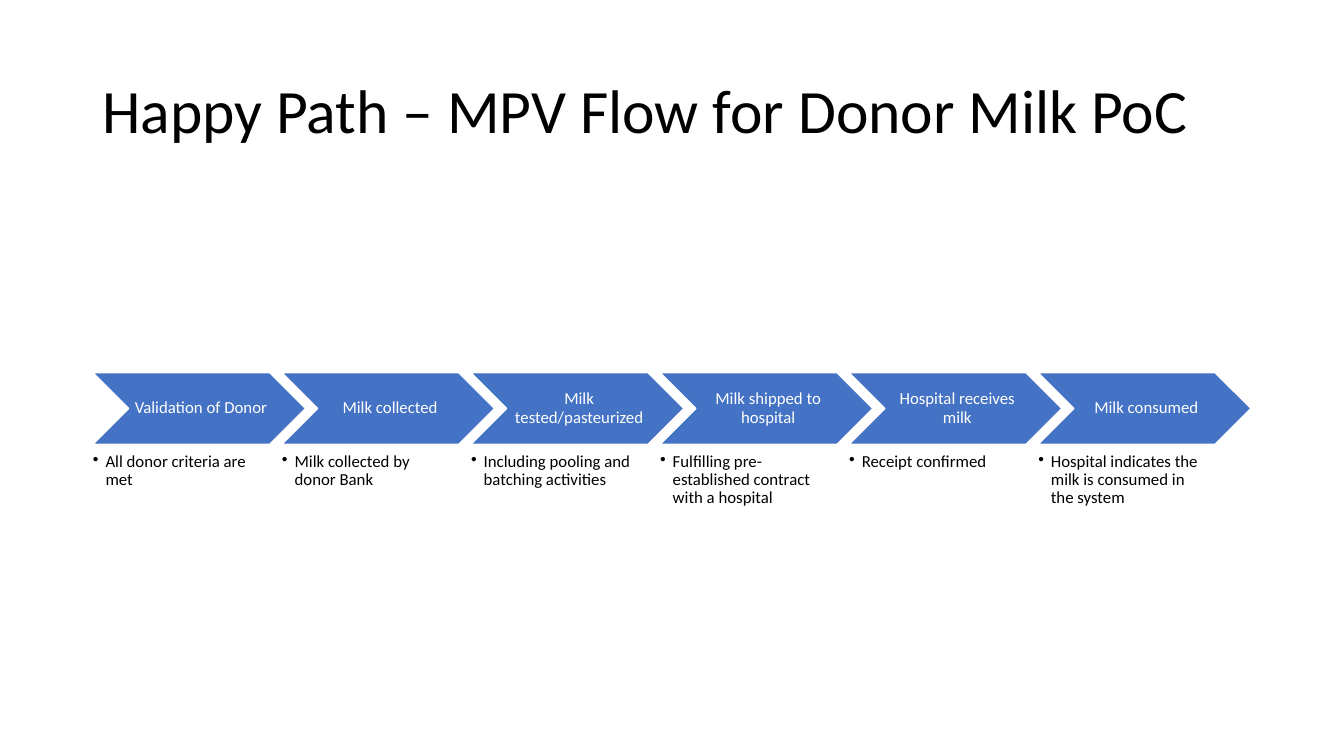
from lxml import etree
from pptx import Presentation
from pptx.dml.color import RGBColor
from pptx.enum.shapes import MSO_SHAPE
from pptx.enum.text import MSO_ANCHOR, PP_ALIGN
from pptx.oxml.ns import qn
from pptx.util import Pt

CHEVRON = MSO_SHAPE.CHEVRON
MIDDLE, TOP = MSO_ANCHOR.MIDDLE, MSO_ANCHOR.TOP
LEFT, CENTER = PP_ALIGN.LEFT, PP_ALIGN.CENTER

FONT = "Calibri"
COLORS = {"step": "4472C4", "light": "FFFFFF", "dark": "000000"}

TITLE = "Happy Path – MPV Flow for Donor Milk PoC"
STEPS = [
    ("Validation of Donor", "All donor criteria are met"),
    ("Milk collected", "Milk collected by donor Bank"),
    ("Milk tested/pasteurized", "Including pooling and batching activities"),
    ("Milk shipped to hospital", "Fulfilling pre-established contract with a hospital"),
    ("Hospital receives milk", "Receipt confirmed"),
    ("Milk consumed", "Hospital indicates the milk is consumed in the system"),
]


def color(name):
    return RGBColor.from_string(COLORS[name])


def write(shape, text, size, color_name, align, anchor, insets):
    """Fill a shape with one styled paragraph and return that paragraph."""
    frame = shape.text_frame
    frame.text = text
    frame.word_wrap = True
    frame.vertical_anchor = anchor
    (frame.margin_left, frame.margin_top,
     frame.margin_right, frame.margin_bottom) = map(Pt, insets)
    para = frame.paragraphs[0]
    para.alignment = align
    para.line_spacing = 0.9
    font = para.runs[0].font
    font.name, font.size = FONT, Pt(size)
    font.color.rgb = color(color_name)
    return para


def add_bullet(para, indent):
    properties = para._p.get_or_add_pPr()
    properties.set("marL", str(Pt(indent)))
    properties.set("indent", str(Pt(-indent)))
    etree.SubElement(properties, qn("a:buChar")).set("char", "•")


def add_title(page, box):
    title = page.shapes.add_textbox(*map(Pt, box))
    write(title, TITLE, 44, "dark", LEFT, MIDDLE, (7.2, 3.6, 7.2, 3.6))


def add_step(page, box, label, detail):
    left, top, width, height = box

    # Chevron with the step name
    chevron = page.shapes.add_shape(CHEVRON, Pt(left), Pt(top), Pt(width), Pt(51))
    chevron.shadow.inherit = False
    chevron.fill.solid()
    chevron.fill.fore_color.rgb = color("step")
    chevron.line.color.rgb = color("light")
    chevron.line.width = Pt(1)
    write(chevron, label, 12, "light", CENTER, MIDDLE, (3.75, 1.25, 1.25, 1.25))

    # Bulleted detail below, ending where the chevron's point is at 80 %
    note = page.shapes.add_textbox(
        Pt(left), Pt(top + 57.4), Pt(width * 0.8), Pt(height - 57.4))
    add_bullet(write(note, detail, 12, "dark", LEFT, TOP, (0, 0, 0, 0)), 9)


def add_flow(page, box):
    left, top, width, height = box
    overlap = 16.9  # chevrons nest into each other
    pitch = 135.05
    for index, (label, detail) in enumerate(STEPS):
        step_box = (left + index * pitch, top, pitch + overlap, height)
        add_step(page, step_box, label, detail)


deck = Presentation()
deck.slide_width, deck.slide_height = Pt(960), Pt(540)
page = deck.slides.add_slide(deck.slide_layouts[6])
add_title(page, (66, 28.8, 828, 104.4))
add_flow(page, (66.4, 266.3, 827, 97))
deck.save("out.pptx")
